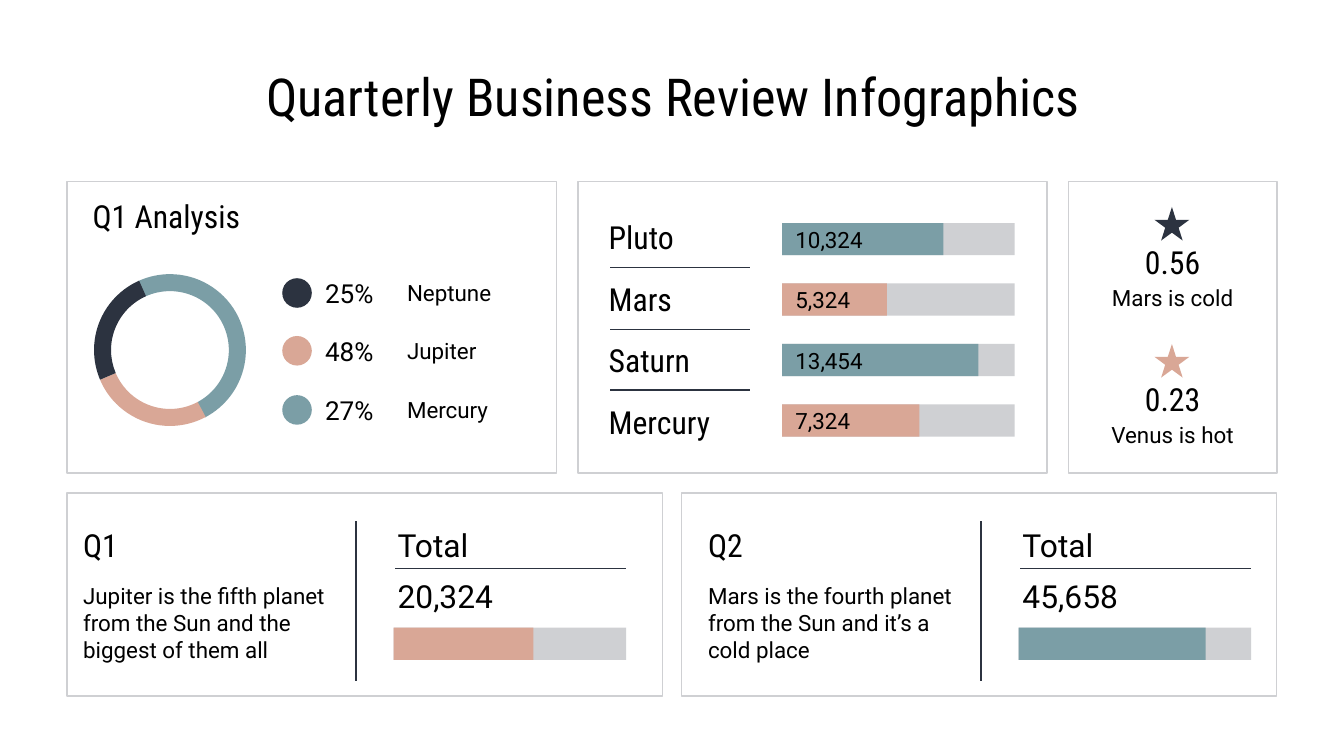
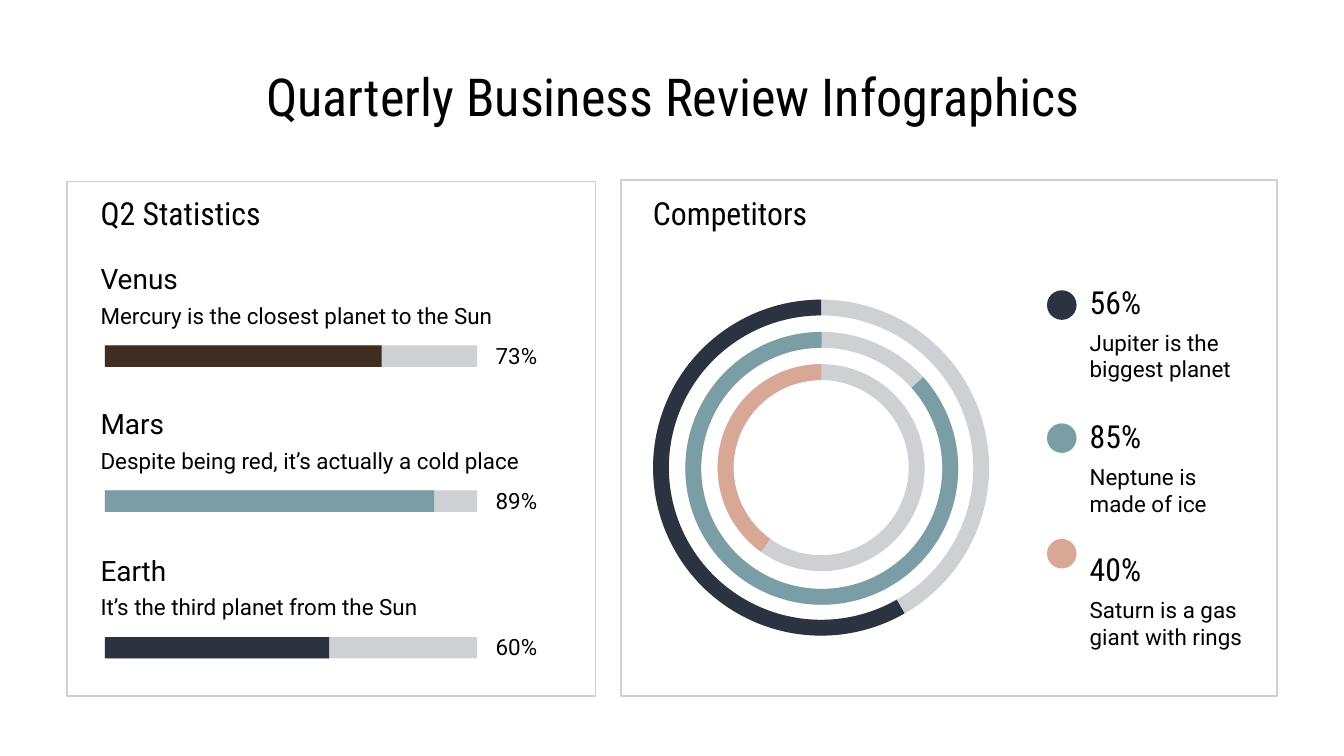
from lxml import etree
from pptx import Presentation
from pptx.dml.color import RGBColor
from pptx.enum.shapes import MSO_CONNECTOR, MSO_SHAPE
from pptx.enum.text import MSO_ANCHOR, PP_ALIGN
from pptx.oxml.ns import qn
from pptx.util import Emu, Pt

EMU_PER_PX = 9144  # 100 px to the inch

BLACK = RGBColor(0x00, 0x00, 0x00)
NAVY = RGBColor(0x2C, 0x33, 0x40)
TEAL = RGBColor(0x7B, 0x9E, 0xA6)
PINK = RGBColor(0xD9, 0xA7, 0x96)
BROWN = RGBColor(0x40, 0x2C, 0x21)
GREY = RGBColor(0xCF, 0xD0, 0xD3)

BODY = "Roboto"
HEADING = "Roboto Condensed"
TITLE = "Quarterly Business Review Infographics"

RECTANGLE = MSO_SHAPE.RECTANGLE
CIRCLE = MSO_SHAPE.OVAL
STAR = MSO_SHAPE.STAR_5_POINT
RING = MSO_SHAPE.DONUT
ARC = MSO_SHAPE.BLOCK_ARC
STRAIGHT = MSO_CONNECTOR.STRAIGHT
MIDDLE = MSO_ANCHOR.MIDDLE
LEFT = PP_ALIGN.LEFT
CENTER = PP_ALIGN.CENTER


def px(*lengths):
    return [Emu(length * EMU_PER_PX) for length in lengths]


class Deck:
    def __init__(self):
        self.presentation = Presentation()
        self.presentation.slide_width = Emu(9144000)
        self.presentation.slide_height = Emu(5143500)
        self.slide = None

    def add_slide(self):
        self.slide = self.presentation.slides.add_slide(self.presentation.slide_layouts[6])
        self.text(TITLE, 78, 45, 845, 53, size=28, font=HEADING, align=CENTER)

    def set_text(self, shape, text, size, font, align):
        frame = shape.text_frame
        frame.word_wrap = True
        frame.vertical_anchor = MIDDLE
        frame.margin_left, frame.margin_top, frame.margin_right, frame.margin_bottom = px(10, 10, 10, 10)
        paragraph = frame.paragraphs[0]
        paragraph.text = text
        paragraph.alignment = align
        paragraph.font.size = Pt(size)
        paragraph.font.name = font
        paragraph.font.color.rgb = BLACK

    def text(self, text, left, top, width, height, size=12, font=BODY, align=LEFT):
        box = self.slide.shapes.add_textbox(*px(left, top, width, height))
        self.set_text(box, text, size, font, align)

    def heading(self, text, left, top, width, font=HEADING, align=LEFT):
        self.text(text, left, top, width, 29, 17, font, align)

    def shape(self, kind, left, top, width, height, color, adjustments=()):
        shape = self.slide.shapes.add_shape(kind, *px(left, top, width, height))
        shape.shadow.inherit = False
        shape.fill.solid()
        shape.fill.fore_color.rgb = color
        shape.line.fill.background()
        for index, value in enumerate(adjustments):
            shape.adjustments[index] = value
        return shape

    def panel(self, left, top, width, height):
        shape = self.shape(RECTANGLE, left, top, width, height, GREY)
        shape.fill.background()
        shape.line.color.rgb = GREY
        shape.line.width = Pt(0.83)

    def dot(self, left, top, color):
        self.shape(CIRCLE, left, top, 22, 22, color)

    def bar(self, left, top, width, height, filled, color, label=""):
        """Draw a grey track with its filled part on top."""
        self.shape(RECTANGLE, left, top, width, height, GREY)
        part = self.shape(RECTANGLE, left, top, filled, height, color)
        if label:
            self.set_text(part, label, 12, BODY, LEFT)

    def arc(self, left, top, size, start, end, thickness, color):
        """Draw a ring segment; angles are degrees clockwise from the right."""
        # An adjustment unit is 100000 and a degree is 60000.
        self.shape(ARC, left, top, size, size, color, (start * 0.6, end * 0.6, thickness))

    def line(self, x1, y1, x2, y2, weight=0.83):
        connector = self.slide.shapes.add_connector(STRAIGHT, *px(x1, y1, x2, y2))
        connector.line.color.rgb = NAVY
        connector.line.width = Pt(weight)
        etree.SubElement(connector._element.spPr, qn("a:effectLst"))


def analysis(deck):
    deck.panel(50, 135, 364, 217)
    deck.heading("Q1 Analysis", 59, 146, 271)
    for start, end, color in ((245.6, 62.4, TEAL), (61.9, 156.9, PINK), (157, 246, NAVY)):
        deck.arc(70, 204, 113, start, end, 0.112, color)
    shares = (("25%", "Neptune", NAVY), ("48%", "Jupiter", PINK), ("27%", "Mercury", TEAL))
    for row, (share, planet, color) in enumerate(shares):
        top = round(207 + 43.5 * row)
        deck.dot(210, top, color)
        deck.text(share, 232, top, 62, 22, size=14)
        deck.text(planet, 293, top, 89, 22)


def planet_bars(deck):
    deck.panel(430, 135, 349, 217)
    planets = (
        ("Pluto", "10,324", 120, TEAL),
        ("Mars", "5,324", 78, PINK),
        ("Saturn", "13,454", 146, TEAL),
        ("Mercury", "7,324", 102, PINK),
    )
    for row, (planet, value, filled, color) in enumerate(planets):
        top = round(162 + 45.6 * row)
        deck.heading(planet, 443, top, 139)
        deck.bar(582, 166 + 45 * row, 173, 24, filled, color, value)
        if row < len(planets) - 1:
            deck.line(454, top + 37, 558, top + 37)


def ratings(deck):
    deck.panel(795, 135, 155, 217)
    for top, value, caption, color in (
        (154, "0.56", "Mars is cold", NAVY),
        (256, "0.23", "Venus is hot", PINK),
    ):
        deck.shape(STAR, 859, top, 26, 25, color)
        deck.heading(value, 795, top + 26, 155, align=CENTER)
        deck.text(caption, 795, top + 58, 155, 19, align=CENTER)


def quarter_totals(deck):
    quarters = (
        ("Q1", "Jupiter is the fifth planet from the Sun and the biggest of them all",
         "20,324", 104, PINK, 50, 0),
        ("Q2", "Mars is the fourth planet from the Sun and it’s a cold place",
         "45,658", 139, TEAL, 507, 465),
    )
    for quarter, note, total, filled, color, panel_left, shift in quarters:
        deck.panel(panel_left, 367, 443, 151)
        deck.heading(quarter, 52 + shift, 391, 204)
        deck.text(note, 52 + shift, 423, 204, 80)
        deck.line(265 + shift, 388, 265 + shift, 507)
        deck.heading("Total", 286 + shift, 391, 204, font=BODY)
        deck.line(294 + shift, 423, 466 + shift, 423, weight=0.75)
        deck.heading(total, 286 + shift, 429, 204, font=BODY)
        deck.bar(293 + shift, 467, 173, 24, filled, color)


def statistics(deck):
    deck.panel(50, 135, 393, 383)
    deck.heading("Q2 Statistics", 65, 144, 277)
    for top, planet, note, share, filled, color in (
        (196, "Venus", "Mercury is the closest planet to the Sun", "73%", 206, BROWN),
        (304, "Mars", "Despite being red, it’s actually a cold place", "89%", 245, TEAL),
        (413, "Earth", "It’s the third planet from the Sun", "60%", 167, NAVY),
    ):
        deck.text(planet, 65, top, 180, 22, size=15)
        deck.text(note, 65, top + 25, 335, 27)
        deck.bar(78, top + 61, 277, 16, filled, color)
        deck.text(share, 359, top + 55, 70, 27)


def competitors(deck):
    deck.panel(462, 134, 488, 384)
    deck.heading("Competitors", 476, 144, 277)
    for left, top, size, start, thickness, color in (
        (486, 223, 250, 60.2, 0.047, NAVY),
        (510, 247, 203, 318.1, 0.058, TEAL),
        (534, 271, 154, 125.5, 0.077, PINK),
    ):
        deck.shape(RING, left, top, size, size, GREY, (thickness,))
        deck.arc(left, top, size, start, 270, thickness, color)
    legend = (
        (216, "56%", "Jupiter is the biggest planet", NAVY),
        (315, "85%", "Neptune is made of ice", TEAL),
        (401, "40%", "Saturn is a gas giant with rings", PINK),
    )
    for row, (dot_top, share, note, color) in enumerate(legend):
        top = round(210 + 99.6 * row)
        deck.dot(779, dot_top, color)
        deck.heading(share, 801, top, 134)
        deck.text(note, 801, top + 32, 134, 45)


def main():
    deck = Deck()
    deck.add_slide()
    analysis(deck)
    planet_bars(deck)
    ratings(deck)
    quarter_totals(deck)
    deck.add_slide()
    statistics(deck)
    competitors(deck)
    deck.presentation.save("out.pptx")


if __name__ == "__main__":
    main()
